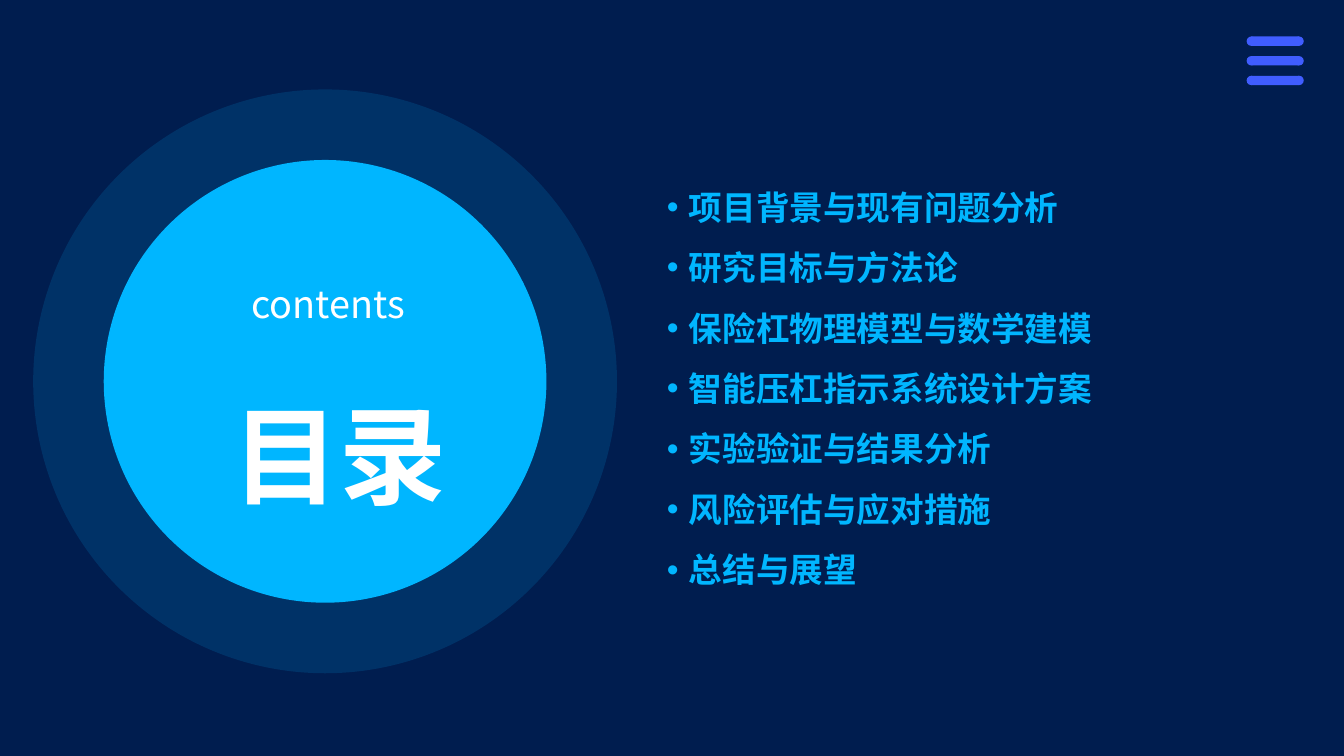
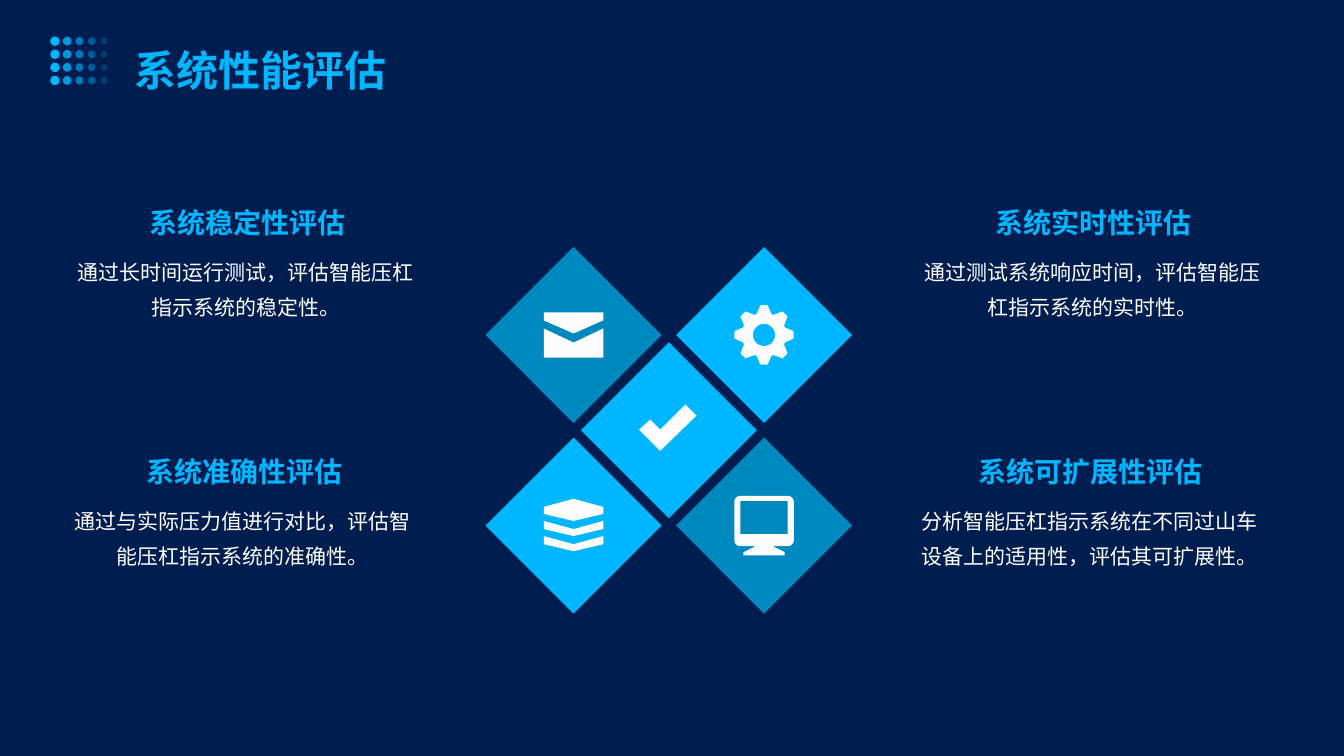
import math
from dataclasses import dataclass

import pptx
import pptx.dml.color
import pptx.enum.shapes
import pptx.enum.text
import pptx.oxml.ns
import pptx.util
from lxml import etree

SHAPES = pptx.enum.shapes.MSO_SHAPE
ALIGN = pptx.enum.text.PP_ALIGN
ANCHOR = pptx.enum.text.MSO_ANCHOR
AUTO_SIZE = pptx.enum.text.MSO_AUTO_SIZE
qn = pptx.oxml.ns.qn

COLUMNS, ROWS = 160, 90
CELL = pptx.util.Inches(7.5) / ROWS
ICON_STEP = 0.12


@dataclass(frozen=True)
class Theme:
    font: str = "Noto Sans CJK SC"
    bullet_font: str = "Arial"
    night: str = "001D4F"
    sky: str = "00B6FF"
    ocean: str = "0089BF"
    violet: str = "405DFF"
    icon: str = "FDFCFC"
    white: str = "FFFFFF"
    cover: float = 76.5
    title: float = 30
    caption: float = 27
    agenda: float = 24
    heading: float = 20
    body: float = 15
    roomy_insets: tuple = (1.62, 1.7, 0.75, 1.7)
    tight_insets: tuple = (1.2, 0.6, 1.2, 0.6)


def cells(count):
    return pptx.util.Emu(round(count * CELL))


def color(code):
    return pptx.dml.color.RGBColor.from_string(code)


def polar(radius, degrees, center=(0, 0)):
    angle = math.radians(degrees)
    return center[0] + radius * math.cos(angle), center[1] + radius * math.sin(angle)


def box(left, top, right, bottom):
    return [(left, top), (right, top), (right, bottom), (left, bottom)]


def rounded_box(left, top, right, bottom, radius):
    corners = box(left + radius, top + radius, right - radius, bottom - radius)
    return [polar(radius, 180 + 90 * turn + degrees, corner)
            for turn, corner in enumerate(corners)
            for degrees in range(0, 91, 15)]


def sheet(top_edge, bottom_edge, shift=0):
    (side_top, mid_top), (side_bottom, mid_bottom) = top_edge, bottom_edge
    return [(x, y + shift) for x, y in (
        (-29.5, side_top), (0, mid_top), (29.5, side_top),
        (29.5, side_bottom), (0, mid_bottom), (-29.5, side_bottom))]


CHECK = [[(-18.5, -10.5), (-29.5, -0.5), (-8.5, 20.5),
          (27.5, -14.5), (16.5, -25.5), (-8.5, -0.5)]]
ENVELOPE = [
    [(0, -1.5), (29.5, -14.5), (29.5, -22.5), (-29.5, -22.5), (-29.5, -14.5)],
    [(0, 7.5), (-29.5, -6.5), (-29.5, 22.5), (29.5, 22.5), (29.5, -6.5)],
]
GEAR = [
    [polar(radius, 45 * tooth + offset) for tooth in range(8)
     for radius, offset in ((22, -19.7), (29.7, -6.8), (29.7, 6.8), (22, 19.7))],
    [polar(11, degrees) for degrees in range(0, 360, 10)],
]
LAYERS = [
    sheet((-18.5, -26.5), (-11.5, -4.5)),
    sheet((10.5, 18.5), (18.5, 25.5), -15),
    sheet((10.5, 18.5), (18.5, 25.5)),
]
MONITOR = [
    rounded_box(-29.5, -29.5, 29.5, 20.5, 6),
    box(-23.5, -24.5, 23.5, 8.5),
    [(-8.5, 20.5), (-20.5, 26.5), (-20.5, 29.5),
     (20.5, 29.5), (20.5, 26.5), (8.5, 20.5)],
]


class Deck:
    def __init__(self, theme):
        self.theme = theme
        self.presentation = pptx.Presentation()
        self.presentation.slide_width = cells(COLUMNS)
        self.presentation.slide_height = cells(ROWS)
        self.slide = None

    def new_slide(self):
        self.slide = self.presentation.slides.add_slide(
            self.presentation.slide_layouts[6])
        background = self.slide.background.fill
        background.solid()
        background.fore_color.rgb = color(self.theme.night)

    def paint(self, shape, fill, opacity=100):
        shape.shadow.inherit = False
        shape.fill.solid()
        shape.fill.fore_color.rgb = color(fill)
        shape.line.fill.background()
        if opacity < 100:
            tint = shape.element.spPr.find(".//" + qn("a:srgbClr"))
            etree.SubElement(tint, qn("a:alpha"), val=str(opacity * 1000))

    def centered(self, preset, center, width, height, fill, opacity=100):
        x, y = center
        shape = self.slide.shapes.add_shape(
            preset, cells(x - width / 2), cells(y - height / 2),
            cells(width), cells(height))
        self.paint(shape, fill, opacity)

    def icon(self, center, contours, fill):
        placed = [[tuple(cells(middle + ICON_STEP * offset)
                         for middle, offset in zip(center, point))
                   for point in contour] for contour in contours]
        outline = self.slide.shapes.build_freeform(*placed[0][0])
        for contour in placed:
            outline.move_to(*contour[0])
            outline.add_line_segments(contour[1:], close=True)
        self.paint(outline.convert_to_shape(), fill)

    def text(self, frame, lines, size, fill, spacing, bold=False,
             align=ALIGN.LEFT, anchor=ANCHOR.TOP, roomy=False, bullet=None):
        area = self.slide.shapes.add_textbox(*map(cells, frame)).text_frame
        area.word_wrap = True
        area.vertical_anchor = anchor
        area.auto_size = AUTO_SIZE.SHAPE_TO_FIT_TEXT if roomy else AUTO_SIZE.NONE
        insets = self.theme.roomy_insets if roomy else self.theme.tight_insets
        (area.margin_left, area.margin_top,
         area.margin_right, area.margin_bottom) = map(cells, insets)
        area.text = "\n".join(lines)
        for paragraph in area.paragraphs:
            paragraph.alignment = align
            paragraph.line_spacing = spacing
            properties = paragraph._p.get_or_add_pPr()
            if bullet:
                indent = cells(2.64)
                properties.set("marL", str(indent))
                properties.set("indent", str(-indent))
                etree.SubElement(properties, qn("a:buFont"),
                                 typeface=self.theme.bullet_font)
                etree.SubElement(properties, qn("a:buChar"), char=bullet)
            font = paragraph.font
            font.name = self.theme.font
            font.size = pptx.util.Pt(size)
            font.bold = bold
            font.color.rgb = color(fill)
            etree.SubElement(properties.find(qn("a:defRPr")), qn("a:ea"),
                             typeface=self.theme.font)

    def menu_mark(self):
        left, right, thickness = 148.97, 154.65, 1.12
        for bar in range(3):
            y = 4.9 + 2.34 * bar
            for end in (left, right):
                self.centered(SHAPES.OVAL, (end, y), thickness, thickness,
                              self.theme.violet)
            self.centered(SHAPES.RECTANGLE, ((left + right) / 2, y),
                          right - left, thickness, self.theme.violet)

    def title(self, wording):
        for row in range(4):
            for column in range(5):
                size = 1.12 - 0.07 * column
                self.centered(SHAPES.OVAL, (6.54 + 1.46 * column, 4.9 + 1.56 * row),
                              size, size, self.theme.sky, 100 - 20 * column)
        self.text((14.4, 1.2, 131.28, 12), [wording], self.theme.title,
                  self.theme.sky, 1.4, bold=True, roomy=True)

    def evaluation(self, left, top, heading, description):
        self.text((left + 0.2, top, 43.08, 7.32), [heading], self.theme.heading,
                  self.theme.sky, 1.2, bold=True, align=ALIGN.CENTER,
                  anchor=ANCHOR.MIDDLE)
        self.text((left, top + 6.66, 43.08, 21.24), [description], self.theme.body,
                  self.theme.white, 1.4, align=ALIGN.CENTER)


def contents_slide(deck):
    theme = deck.theme
    deck.new_slide()
    for diameter, opacity in ((69.5, 14), (52.7, 100)):
        deck.centered(SHAPES.OVAL, (38.7, 45.4), diameter, diameter, theme.sky, opacity)
    deck.text((16.2, 31.56, 47.64, 33.12), ["目录"], theme.cover, theme.white, 1.86,
              bold=True, align=ALIGN.CENTER, roomy=True)
    deck.text((18.36, 27.12, 40.56, 13.68), ["contents"], theme.caption, theme.white,
              1.86, align=ALIGN.CENTER, roomy=True)
    chapters = [
        "项目背景与现有问题分析",
        "研究目标与方法论",
        "保险杠物理模型与数学建模",
        "智能压杠指示系统设计方案",
        "实验验证与结果分析",
        "风险评估与应对措施",
        "总结与展望",
    ]
    deck.text((77.76, 13.38, 76.2, 63.24), chapters, theme.agenda, theme.sky, 1.5,
              bold=True, anchor=ANCHOR.MIDDLE, roomy=True, bullet="•")
    deck.menu_mark()


def evaluation_slide(deck):
    theme = deck.theme
    deck.new_slide()
    deck.title("系统性能评估")
    tiles = [
        (0, 0, theme.sky, CHECK, theme.white),
        (-1, -1, theme.ocean, ENVELOPE, theme.icon),
        (1, -1, theme.sky, GEAR, theme.icon),
        (-1, 1, theme.sky, LAYERS, theme.icon),
        (1, 1, theme.ocean, MONITOR, theme.icon),
    ]
    for column, row, fill, contours, icon_fill in tiles:
        center = (79.62 + 11.34 * column, 51.22 + 11.34 * row)
        deck.centered(SHAPES.DIAMOND, center, 20.96, 20.96, fill)
        deck.icon(center, contours, icon_fill)
    evaluations = [
        [("系统稳定性评估", "通过长时间运行测试，评估智能压杠指示系统的稳定性。"),
         ("系统实时性评估", "通过测试系统响应时间，评估智能压杠指示系统的实时性。")],
        [("系统准确性评估", "通过与实际压力值进行对比，评估智能压杠指示系统的准确性。"),
         ("系统可扩展性评估", "分析智能压杠指示系统在不同过山车设备上的适用性，评估其可扩展性。")],
    ]
    for row, pair in enumerate(evaluations):
        for column, (heading, description) in enumerate(pair):
            deck.evaluation(7.74 - 0.36 * row + 100.74 * column, 22.44 + 29.64 * row,
                            heading, description)


def main():
    deck = Deck(Theme())
    contents_slide(deck)
    evaluation_slide(deck)
    deck.presentation.save("out.pptx")


if __name__ == "__main__":
    main()
